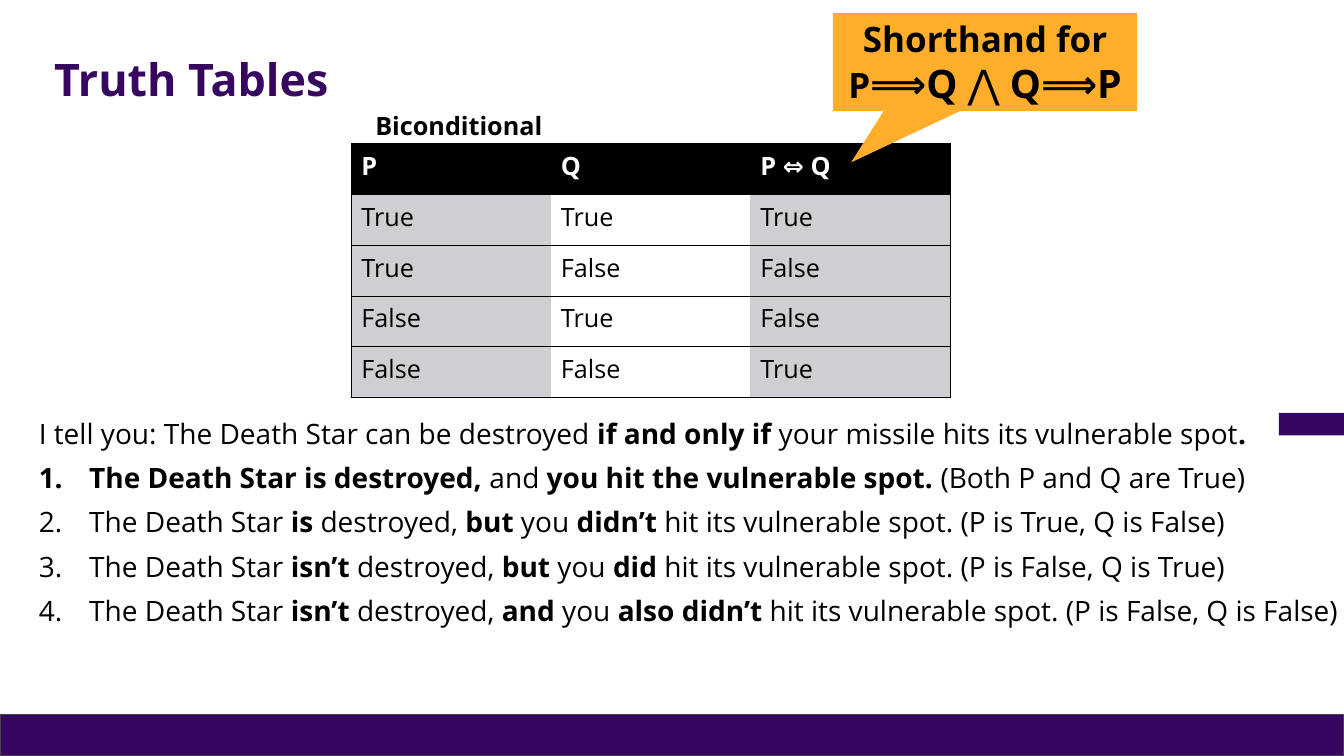
from lxml import etree
from pptx import Presentation
from pptx.dml.color import RGBColor
from pptx.enum import shapes, text
from pptx.oxml import ns
from pptx.util import Pt

FONT = "Open Sans"
COLORS = {
    "purple": "370661",
    "title": "370660",
    "outline": "43454B",
    "orange": "FFAE2B",
    "gray": "CECFD2",
    "black": "000000",
    "white": "FFFFFF",
}
TRUTH_ROWS = [
    ("P", "Q", "P ⇔ Q"),
    ("True", "True", "True"),
    ("True", "False", "False"),
    ("False", "True", "False"),
    ("False", "False", "True"),
]
STATEMENTS = [
    "I tell you: The Death Star can be destroyed **if and only if **your missile hits its vulnerable spot**.**",
    "**The Death Star is destroyed, **and** you hit the vulnerable spot. **(Both P and Q are True)",
    "The Death Star **is** destroyed, **but** you **didn’t** hit its vulnerable spot. (P is True, Q is False)",
    "The Death Star **isn’t **destroyed, **but** you **did** hit its vulnerable spot. (P is False, Q is True)",
    "The Death Star **isn’t **destroyed, **and** you **also didn’t** hit its vulnerable spot. (P is False, Q is False)",
]
SHORTHAND = [("Shorthand for P", 25, True), ("⟹Q ", 28, True), ("⋀", 28, False), (" Q⟹P", 28, True)]


def color(name):
    return RGBColor.from_string(COLORS[name])


def set_font(font, size, color_name, bold=None):
    font.name = FONT
    font.size = Pt(size)
    font.color.rgb = color(color_name)
    font.bold = bold


def place(shape, box):
    shape.left, shape.top, shape.width, shape.height = map(Pt, box)


def add_filled_shape(slide, kind, box, fill):
    shape = slide.shapes.add_shape(kind, *map(Pt, box))
    shape.shadow.inherit = False
    shape.fill.solid()
    shape.fill.fore_color.rgb = color(fill)
    shape.line.fill.background()
    return shape


def add_bars(slide, box):
    left, top, width, height = box
    rectangle = shapes.MSO_SHAPE.RECTANGLE
    footer = add_filled_shape(slide, rectangle, (left, top + height - 29.5, width, 29.5), "purple")
    footer.line.color.rgb = color("outline")
    footer.line.width = Pt(0.75)
    add_filled_shape(slide, rectangle, (left + width - 46.5, top + 295, 46.5, 16), "purple")


def fill_title(slide, box):
    title = slide.shapes.title
    place(title, box)
    frame = title.text_frame
    frame.text = "Truth Tables"
    frame.auto_size = text.MSO_AUTO_SIZE.NONE
    frame.vertical_anchor = text.MSO_ANCHOR.MIDDLE
    paragraph = frame.paragraphs[0]
    paragraph.alignment = text.PP_ALIGN.LEFT
    paragraph.line_spacing = 0.9
    set_font(paragraph.font, 32, "title", True)


def add_border(cell, side, visible):
    properties = cell._tc.get_or_add_tcPr()
    line = etree.SubElement(properties, ns.qn(f"a:ln{side}"), w=str(Pt(0.5)))
    if visible:
        fill = etree.SubElement(line, ns.qn("a:solidFill"))
        etree.SubElement(fill, ns.qn("a:srgbClr"), val=COLORS["black"])
    else:
        etree.SubElement(line, ns.qn("a:noFill"))


def add_truth_table(slide, box):
    left, top, width, height = box
    caption = slide.shapes.add_textbox(Pt(left + 10), Pt(top - 27.5), Pt(137.5), Pt(29))
    caption.text_frame.word_wrap = False
    caption.text_frame.text = "Biconditional"
    set_font(caption.text_frame.paragraphs[0].font, 18, "black", True)

    row_count, column_count = len(TRUTH_ROWS), len(TRUTH_ROWS[0])
    table = slide.shapes.add_table(row_count, column_count, *map(Pt, box)).table
    table.horz_banding = False
    for column in table.columns:
        column.width = Pt(width / column_count)
    for row_index, values in enumerate(TRUTH_ROWS):
        table.rows[row_index].height = Pt(height / row_count)
        header = row_index == 0
        for column_index, value in enumerate(values):
            cell = table.cell(row_index, column_index)
            add_border(cell, "L", column_index == 0)
            add_border(cell, "R", column_index == column_count - 1)
            add_border(cell, "T", True)
            add_border(cell, "B", True)
            cell.fill.solid()
            cell.fill.fore_color.rgb = color("black" if header else ("gray", "white")[column_index % 2])
            cell.text = value
            set_font(cell.text_frame.paragraphs[0].font, 18, "white" if header else "black", header)


def set_numbering(paragraph, numbered):
    properties = paragraph._p.get_or_add_pPr()
    indent = Pt(36) if numbered else 0
    properties.set("marL", str(indent))
    properties.set("indent", str(-indent))
    if numbered:
        etree.SubElement(properties, ns.qn("a:buFont"), typeface="+mj-lt")
        etree.SubElement(properties, ns.qn("a:buAutoNum"), type="arabicPeriod")
    else:
        etree.SubElement(properties, ns.qn("a:buNone"))


def fill_statements(slide, box):
    body = slide.placeholders[1]
    place(body, box)
    frame = body.text_frame
    frame.auto_size = text.MSO_AUTO_SIZE.NONE
    for index, statement in enumerate(STATEMENTS):
        paragraph = frame.add_paragraph() if index else frame.paragraphs[0]
        set_numbering(paragraph, index > 0)
        paragraph.line_spacing = 0.9
        paragraph.space_before = Pt(10 if index else 0)
        set_font(paragraph.font, 20, "black")
        for part_index, part in enumerate(statement.split("**")):
            if part:
                run = paragraph.add_run()
                run.text = part
                run.font.bold = part_index % 2 == 1


def add_callout(slide, box):
    callout = add_filled_shape(slide, shapes.MSO_SHAPE.ROUNDED_RECTANGULAR_CALLOUT, box, "orange")
    for index, value in enumerate((-0.44, 1.02, 0)):
        callout.adjustments[index] = value
    frame = callout.text_frame
    frame.word_wrap = True
    frame.vertical_anchor = text.MSO_ANCHOR.MIDDLE
    frame.margin_left = frame.margin_right = frame.margin_top = frame.margin_bottom = Pt(7.2)
    paragraph = frame.paragraphs[0]
    paragraph.alignment = text.PP_ALIGN.CENTER
    for words, size, bold in SHORTHAND:
        run = paragraph.add_run()
        run.text = words
        set_font(run.font, size, "black", bold)


def main():
    presentation = Presentation()
    presentation.slide_width = Pt(960)
    presentation.slide_height = Pt(540)
    slide = presentation.slides.add_slide(presentation.slide_layouts[1])
    add_bars(slide, (0, 0, 960, 540))
    fill_title(slide, (31.5, 28.5, 862.5, 60.5))
    add_truth_table(slide, (251, 102.5, 427.5, 181.5))
    fill_statements(slide, (20.5, 296.5, 951, 201.5))
    add_callout(slide, (595, 9.25, 217.25, 70.25))
    presentation.save("out.pptx")


if __name__ == "__main__":
    main()
